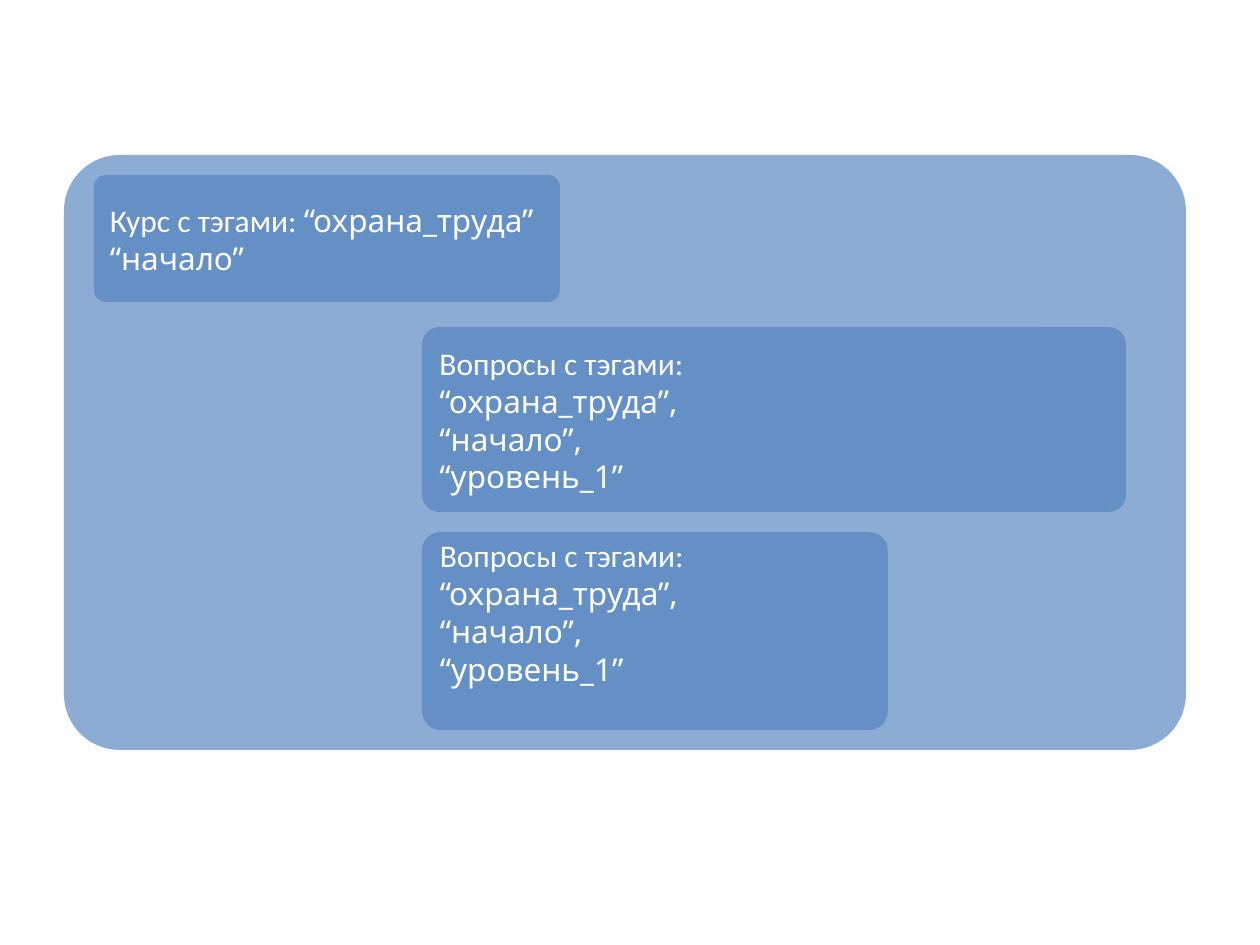
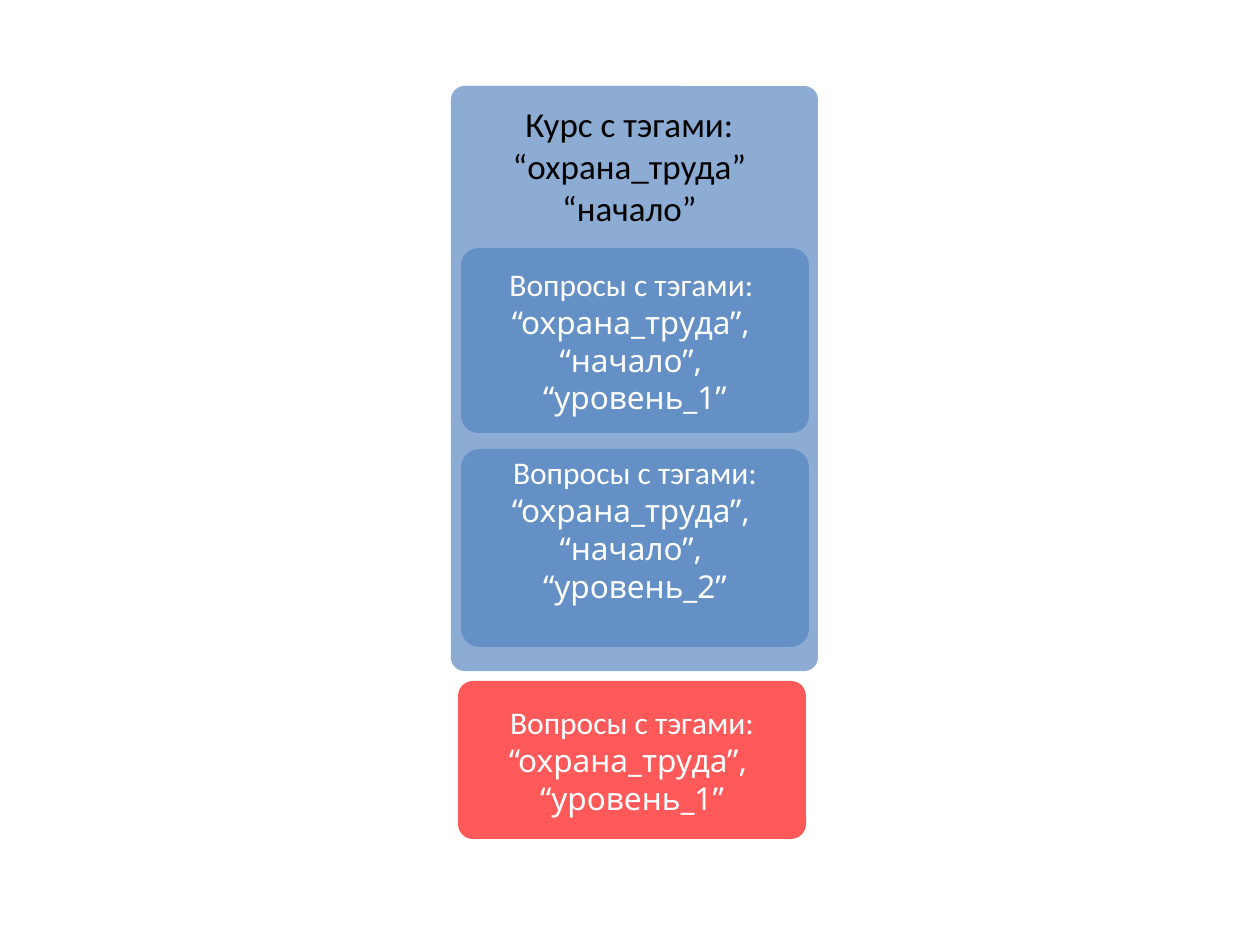
"""Two slides showing how course tags select question groups."""
from dataclasses import dataclass

from lxml import etree
from pptx import Presentation
from pptx import util as u
from pptx.dml.color import RGBColor
from pptx.enum import shapes, text
from pptx.oxml.ns import qn

PIXEL = u.Inches(1) // 126
BLUE, RED, WHITE, BLACK = "4F81BD", "FF0000", "FFFFFF", "000000"
OPACITY = 65
LABEL_FONT, TAG_FONT = "Calibri", "Noto Sans"
LEFT, CENTER = text.PP_ALIGN.LEFT, text.PP_ALIGN.CENTER
INSET = 6
RAISED = INSET + 38  # bottom inset that lifts the text by half a line

COURSE = "Курс с тэгами: "
QUESTIONS = "Вопросы с тэгами: "
SAFETY, START = "“охрана_труда”", "“начало”"
LEVEL_1, LEVEL_2 = "“уровень_1”", "“уровень_2”"


@dataclass(frozen=True)
class Box:
    """A translucent rounded box; each paragraph is a tuple of runs."""
    left: int
    top: int
    width: int
    height: int
    paragraphs: tuple[tuple[str, ...], ...] = ()
    align: text.PP_ALIGN = LEFT
    color: str = BLUE
    corner: float = 0.094
    bottom_inset: int = INSET


def rgb(color: str) -> RGBColor:
    """Turn a hex string into a colour."""
    return RGBColor.from_string(color)


def px(*lengths: int) -> list[u.Emu]:
    """Turn pixels into EMU."""
    return [u.Emu(length * PIXEL) for length in lengths]


def apply(target, values: dict) -> None:
    """Set every attribute given in a dict."""
    for name, value in values.items():
        setattr(target, name, value)


def write(frame, paragraphs, align, size: int, color: str, tag_font: str) -> None:
    """Fill a text frame, with quoted tags in their own font."""
    for index, runs in enumerate(paragraphs):
        paragraph = frame.add_paragraph() if index else frame.paragraphs[0]
        paragraph.alignment = align
        for words in runs:
            run = paragraph.add_run()
            run.text = words
            font = tag_font if words.startswith("“") else LABEL_FONT
            apply(run.font, {"name": font, "size": u.Pt(size)})
            run.font.color.rgb = rgb(color)


def draw_box(slide, box: Box) -> None:
    """Draw a box with its text."""
    shape = slide.shapes.add_shape(
        shapes.MSO_SHAPE.ROUNDED_RECTANGLE,
        *px(box.left, box.top, box.width, box.height))
    shape.adjustments[0] = box.corner
    shape.shadow.inherit = False
    shape.line.fill.background()
    shape.fill.solid()
    shape.fill.fore_color.rgb = rgb(box.color)
    color = next(shape.fill._xPr.iter(qn("a:srgbClr")))
    etree.SubElement(color, qn("a:alpha"), val=str(OPACITY * 1000))
    apply(shape.text_frame, {
        "word_wrap": True,
        "vertical_anchor": text.MSO_ANCHOR.MIDDLE,
        "margin_bottom": px(box.bottom_inset)[0],
    })
    write(shape.text_frame, box.paragraphs, box.align, 18, WHITE, TAG_FONT)


def draw_heading(slide, left: int, top: int, width: int, height: int) -> None:
    """Write the course heading in a text box."""
    frame = slide.shapes.add_textbox(*px(left, top, width, height)).text_frame
    frame.word_wrap = True
    write(frame, ((COURSE, SAFETY), (START,)), CENTER, 20, BLACK, LABEL_FONT)


def questions(level: str) -> tuple[tuple[str, ...], ...]:
    """Give the text of a question group, one tag a paragraph."""
    return (QUESTIONS,), (SAFETY + ", ",), (START + ", ",), (level,)


def wrapped_questions(*tags: str) -> tuple[tuple[str, ...], ...]:
    """Give the text of a question group whose first tag follows the label."""
    first, *middle, last = tags
    return ((QUESTIONS, first + ", "),
            *((tag + ", ",) for tag in middle), (last,))


SLIDES = (
    (
        Box(64, 155, 1122, 595),
        Box(422, 327, 704, 185, questions(LEVEL_1)),
        Box(422, 532, 466, 198, wrapped_questions(SAFETY, START, LEVEL_1),
            bottom_inset=RAISED),
        Box(94, 175, 466, 127, ((COURSE, SAFETY), (START,))),
    ),
    (
        Box(451, 86, 367, 585, corner=0.037),
        Box(461, 248, 348, 185, questions(LEVEL_1), CENTER),
        Box(461, 449, 348, 198, wrapped_questions(SAFETY, START, LEVEL_2),
            CENTER, bottom_inset=RAISED),
        Box(458, 681, 348, 158, wrapped_questions(SAFETY, LEVEL_1),
            CENTER, RED),
    ),
)


def main() -> None:
    """Build and save the presentation."""
    presentation = Presentation()
    apply(presentation, {"slide_width": u.Inches(10),
                         "slide_height": u.Inches(7.5)})
    for boxes in SLIDES:
        slide = presentation.slides.add_slide(presentation.slide_layouts[6])
        for box in boxes:
            draw_box(slide, box)
    draw_heading(slide, 451, 96, 357, 140)
    presentation.save("out.pptx")


main()
